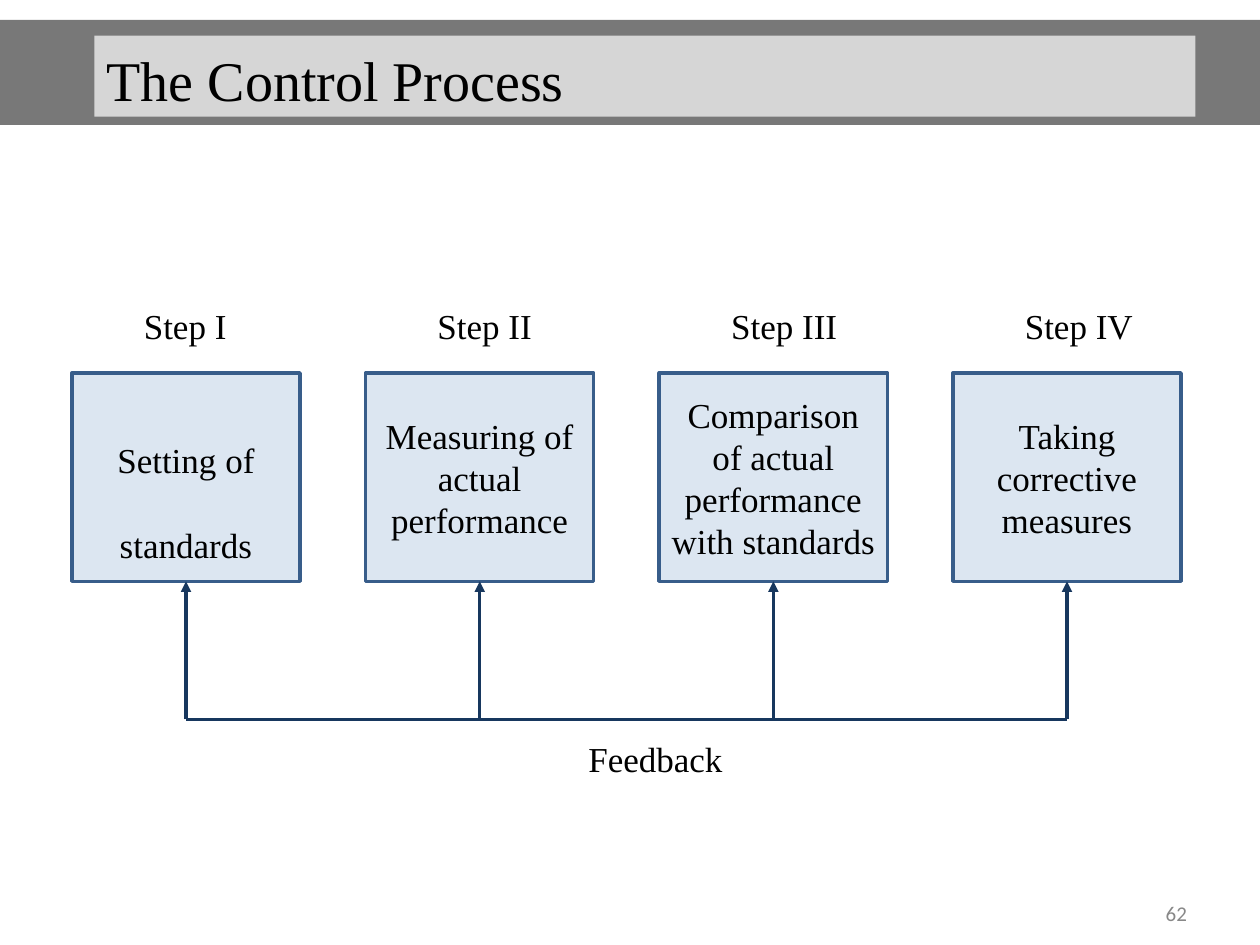
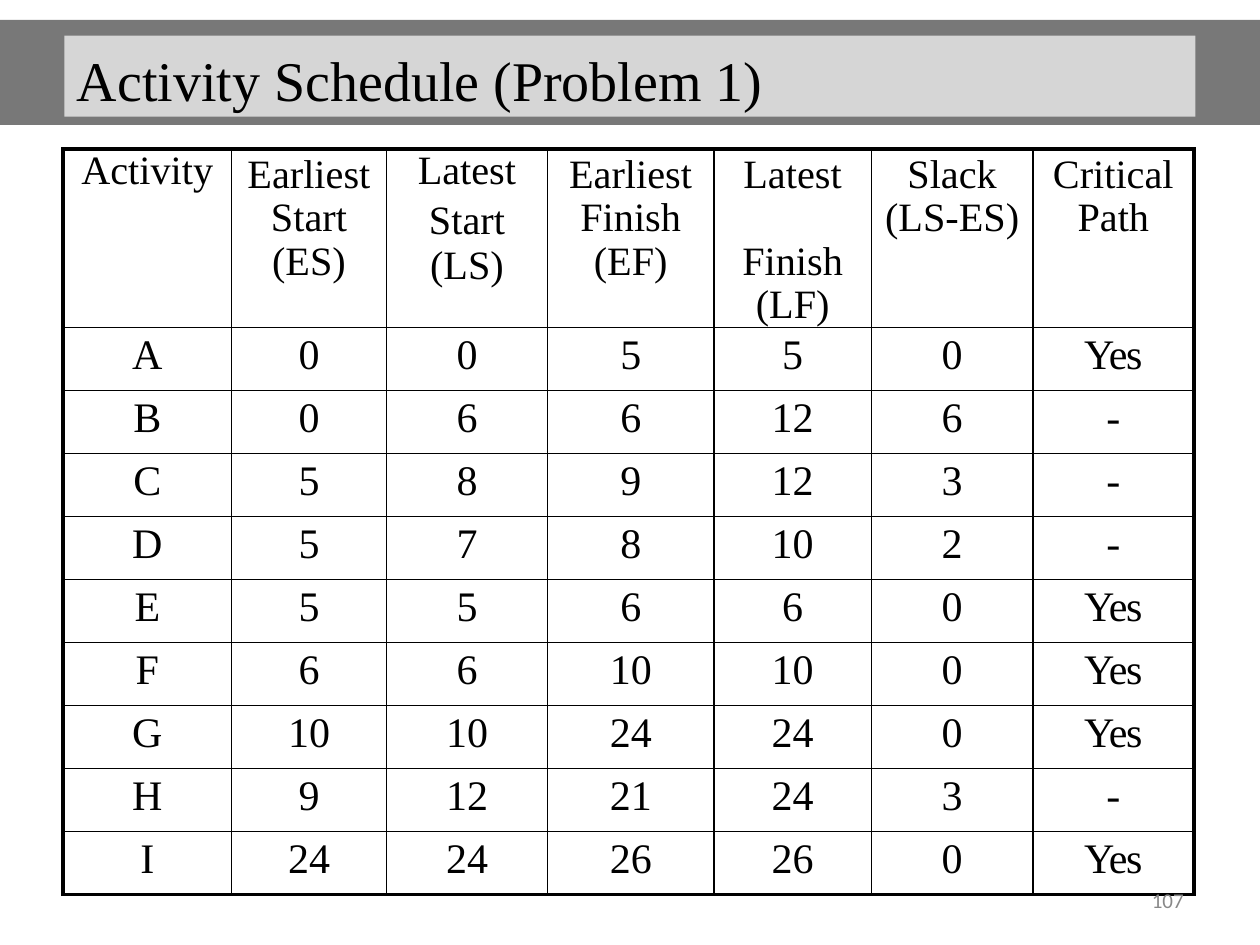
"""Build two slides: the control process diagram and an activity schedule table."""
import pptx
import pptx.dml.color
import pptx.enum.shapes
import pptx.enum.text
import pptx.oxml.ns
import pptx.util
from lxml import etree

Cm = pptx.util.Cm
Pt = pptx.util.Pt
RGBColor = pptx.dml.color.RGBColor
PP_ALIGN = pptx.enum.text.PP_ALIGN
MSO_ANCHOR = pptx.enum.text.MSO_ANCHOR
qn = pptx.oxml.ns.qn

BLACK = RGBColor(0x00, 0x00, 0x00)
WHITE = RGBColor(0xFF, 0xFF, 0xFF)
BAND = RGBColor(0x40, 0x40, 0x40)
BOX_FILL = RGBColor(0xDC, 0xE6, 0xF1)
BOX_LINE = RGBColor(0x38, 0x5D, 0x8A)
ARROW = RGBColor(0x17, 0x37, 0x5E)
NUMBER = RGBColor(0x88, 0x88, 0x88)

SERIF = "Times New Roman"
SANS = "Calibri"
TITLE_RIGHT = 24.1
LINE_WIDTH = Pt(2)

STEPS = [
    ("Step I", "Setting of\nstandards", 1),
    ("Step II", "Measuring of\vactual\vperformance", 0),
    ("Step III", "Comparison\vof actual\vperformance\vwith standards", 0),
    ("Step IV", "Taking\vcorrective\vmeasures", 0),
]
STEP_LEFT, STEP_PITCH = 1.45, 5.92
BOX_TOP, BOX_WIDTH, BOX_HEIGHT = 7.52, 4.6, 4.2
FEEDBACK_Y = 14.5

LOOSE = dict(gap=2.8)
TIGHT = dict(top=0.1, line=24.8, gap=24.8)
HEADERS = [
    ("Activity", LOOSE),
    ("Earliest\vStart\v(ES)", TIGHT),
    ("Latest\nStart\v(LS)", LOOSE),
    ("Earliest\vFinish\v(EF)", TIGHT),
    ("Latest\nFinish\v(LF)", TIGHT),
    ("Slack\v(LS-ES)", TIGHT),
    ("Critical\vPath", TIGHT),
]
ACTIVITIES = [
    ("A", 0, 0, 5, 5, 0, "Yes"),
    ("B", 0, 6, 6, 12, 6, "-"),
    ("C", 5, 8, 9, 12, 3, "-"),
    ("D", 5, 7, 8, 10, 2, "-"),
    ("E", 5, 5, 6, 6, 0, "Yes"),
    ("F", 6, 6, 10, 10, 0, "Yes"),
    ("G", 10, 10, 24, 24, 0, "Yes"),
    ("H", 9, 12, 21, 24, 3, "-"),
    ("I", 24, 24, 26, 26, 0, "Yes"),
]
COLUMN_WIDTHS = [3.4, 3.12, 3.25, 3.35, 3.18, 3.25, 3.25]
HEADER_HEIGHT, ROW_HEIGHT = 3.6, 1.27


class Deck:
    """Hold the presentation, its style and the current slide."""

    def __init__(self):
        self.prs = pptx.Presentation()
        self.prs.slide_width = Cm(25.4)
        self.prs.slide_height = Cm(19.05)
        self.slide = None

    def fill(self, sp, color, alpha=None):
        sp.fill.solid()
        sp.fill.fore_color.rgb = color
        if alpha:
            clr = sp._element.spPr.find(qn("a:solidFill")).find(qn("a:srgbClr"))
            etree.SubElement(clr, qn("a:alpha")).set("val", str(alpha * 1000))

    def text(self, tf, text, size=20, font=SERIF, color=BLACK, align=PP_ALIGN.LEFT,
             line=None, gap=0, tracking=0):
        tf.text = text
        for i, p in enumerate(tf.paragraphs):
            p.alignment = align
            if line:
                p.line_spacing = Pt(line)
            if i:
                p.space_before = Pt(gap)
            p.font.size = Pt(size)
            p.font.name = font
            p.font.color.rgb = color
            if tracking:
                for r in p.runs:
                    r._r.get_or_add_rPr().set("spc", str(tracking))

    def frame(self, sp, left=0, top=0, anchor=MSO_ANCHOR.TOP):
        tf = sp.text_frame
        tf.word_wrap = True
        tf.auto_size = pptx.enum.text.MSO_AUTO_SIZE.NONE
        tf.margin_left, tf.margin_top = Cm(left), Cm(top)
        tf.margin_right = tf.margin_bottom = 0
        tf.vertical_anchor = anchor
        return tf

    def rect(self, x, y, w, h):
        sp = self.slide.shapes.add_shape(
            pptx.enum.shapes.MSO_SHAPE.RECTANGLE, Cm(x), Cm(y), Cm(w), Cm(h))
        sp.shadow.inherit = False
        return sp

    def new_slide(self, title, title_left):
        self.slide = self.prs.slides.add_slide(self.prs.slide_layouts[5])
        band = self.rect(0, 0.4, 25.4, 2.12)
        self.fill(band, BAND, 70)
        band.line.fill.background()
        sp = self.slide.shapes.title
        sp._element.addprevious(band._element)
        sp.left, sp.top = Cm(title_left), Cm(0.72)
        sp.width, sp.height = Cm(TITLE_RIGHT - title_left), Cm(1.63)
        self.fill(sp, WHITE, 70)
        self.text(self.frame(sp, 0.25, 0.19), title, 32)

    def label(self, text, x, y, w=3, h=0.9, **style):
        sp = self.slide.shapes.add_textbox(Cm(x), Cm(y), Cm(w), Cm(h))
        self.text(self.frame(sp), text, **style)

    def number(self, text, x, y):
        self.label(text, x, y, 1, 0.6, size=12, font=SANS, color=NUMBER)

    def box(self, text, x, y, w, h, top):
        sp = self.rect(x, y, w, h)
        self.fill(sp, BOX_FILL)
        sp.line.color.rgb = BOX_LINE
        sp.line.width = LINE_WIDTH
        self.text(self.frame(sp, top=top, anchor=MSO_ANCHOR.MIDDLE), text,
                  align=PP_ALIGN.CENTER, line=24, gap=24)

    def line(self, x1, y1, x2, y2, arrow=False):
        sp = self.slide.shapes.add_connector(
            pptx.enum.shapes.MSO_CONNECTOR.STRAIGHT, Cm(x1), Cm(y1), Cm(x2), Cm(y2))
        sp.line.color.rgb = ARROW
        sp.line.width = LINE_WIDTH
        if arrow:
            ln = sp._element.spPr.find(qn("a:ln"))
            etree.SubElement(ln, qn("a:tailEnd")).set("type", "triangle")
        etree.SubElement(sp._element.spPr, qn("a:effectLst"))

    def cell(self, cell, text, outer, size=24, top=0.1, **style):
        cell.margin_left = cell.margin_right = cell.margin_bottom = 0
        cell.margin_top = Cm(top)
        self.text(cell.text_frame, text, size, align=PP_ALIGN.CENTER, **style)
        tcPr = cell._tc.get_or_add_tcPr()
        for side in "LRTB":
            ln = etree.SubElement(tcPr, qn("a:ln" + side))
            ln.set("w", str(Pt(2.25 if side in outer else 1)))
            fill = etree.SubElement(ln, qn("a:solidFill"))
            etree.SubElement(fill, qn("a:srgbClr")).set("val", str(BLACK))
        cell.fill.background()

    def table(self, x, y, headers, rows, widths):
        last_row, last_col = len(rows), len(widths) - 1
        height = HEADER_HEIGHT + ROW_HEIGHT * last_row
        tbl = self.slide.shapes.add_table(
            last_row + 1, last_col + 1, Cm(x), Cm(y), Cm(sum(widths)), Cm(height)).table
        tbl.first_row = tbl.horz_banding = False
        for col, w in zip(tbl.columns, widths):
            col.width = Cm(w)
        for i, row in enumerate(tbl.rows):
            row.height = Cm(ROW_HEIGHT if i else HEADER_HEIGHT)
            for j, cell in enumerate(row.cells):
                outer = (("L" if j == 0 else "") + ("R" if j == last_col else "")
                         + ("T" if i == 0 else "") + ("B" if i == last_row else ""))
                if i == 0:
                    text, style = headers[j]
                    self.cell(cell, text, outer, **{"size": 23, "top": 0, **style})
                else:
                    text = str(rows[i - 1][j])
                    self.cell(cell, text, outer, tracking=-80 if text == "Yes" else 0)


def control_process(deck):
    deck.new_slide("The Control Process", 1.9)
    centers = []
    for i, (step, action, top) in enumerate(STEPS):
        x = STEP_LEFT + STEP_PITCH * i
        center = x + BOX_WIDTH / 2
        centers.append(center)
        deck.label(step, x + 1.45, 6.13)
        deck.box(action, x, BOX_TOP, BOX_WIDTH, BOX_HEIGHT, top)
        deck.line(center, FEEDBACK_Y, center, BOX_TOP + BOX_HEIGHT, arrow=True)
    deck.line(centers[0], FEEDBACK_Y, centers[-1], FEEDBACK_Y)
    deck.label("Feedback", 11.86, 14.87)
    deck.number("62", 23.5, 18.16)


def activity_schedule(deck):
    deck.new_slide("Activity Schedule (Problem 1)", 1.3)
    deck.table(1.27, 3, HEADERS, ACTIVITIES, COLUMN_WIDTHS)
    deck.number("107", 23.22, 17.9)


def main():
    deck = Deck()
    control_process(deck)
    activity_schedule(deck)
    deck.prs.save("out.pptx")


if __name__ == "__main__":
    main()
